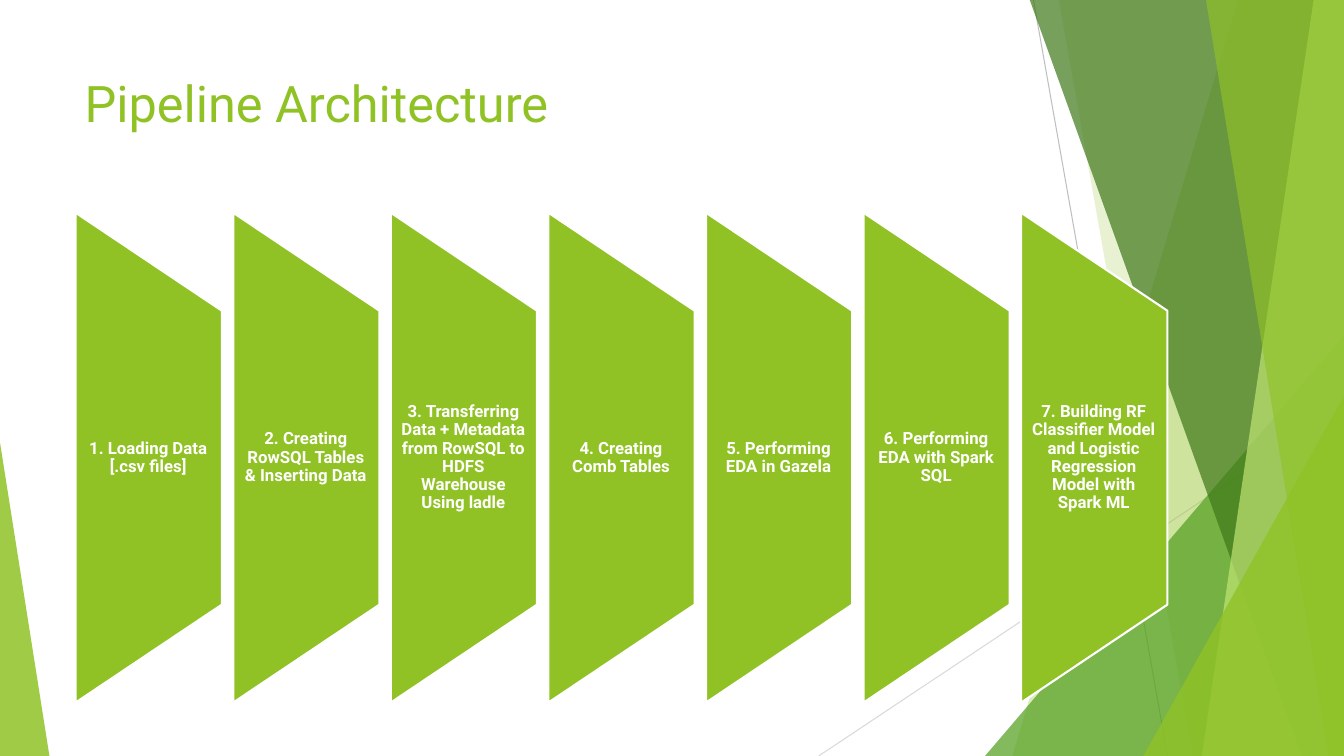
from lxml.etree import SubElement
from pptx import Presentation
from pptx.dml.color import RGBColor
from pptx.enum.shapes import MSO_CONNECTOR as Connector, MSO_SHAPE as Shape
from pptx.enum.text import MSO_ANCHOR as Anchor, PP_ALIGN as Align
from pptx.oxml.ns import qn
from pptx.util import Inches, Pt

WIDTH, HEIGHT = 13.33, 7.5
FONT, GREEN, WHITE = "Roboto", "90C226", "FFFFFF"
TITLE = "Pipeline Architecture"
STEPS = [
    "1. Loading Data [.csv files]",
    "2. Creating RowSQL Tables & Inserting Data",
    "3. Transferring Data + Metadata from RowSQL to HDFS Warehouse Using ladle",
    "4. Creating Comb Tables",
    "5. Performing EDA in Gazela",
    "6. Performing EDA with Spark SQL",
    "7. Building RF Classifier Model and Logistic Regression Model with Spark ML",
]
RAYS = [
    ((10.25, 0), (11.58, HEIGHT), "BFBFBF"),
    ((WIDTH, 4.03), (8.12, HEIGHT), "D9D9D9"),
]
BACK_BANDS = [(12.28, 10.04, GREEN, 30), (10.5, 11.83, GREEN, 20)]
FRONT_BANDS = [
    (10.21, 12.91, "3F7819", 70),
    (13.03, 11.92, "C0E474", 70),
    (11.96, 13.18, GREEN, 65),
]
BACK_CORNERS = [(9.77, 3.56, 4.17, 1, "54A021", 72)]
FRONT_CORNERS = [(11.34, 1.99, 3.57, 1, GREEN, 80), (0, 0.49, 3.11, 0, GREEN, 85)]
FIRST_LEFT, PITCH, MIDDLE = 0.75, 1.563, 4.54
STEP_WIDTH, STEP_HEIGHT, LABEL_HEIGHT = 1.45, 4.86, 2.92

deck = Presentation()
deck.slide_width, deck.slide_height = Inches(WIDTH), Inches(HEIGHT)
page = deck.slides.add_slide(deck.slide_layouts[6])


def color(code):
    return RGBColor.from_string(code)


def paint(shape, code, opacity=100):
    shape.shadow.inherit = False
    shape.fill.solid()
    shape.fill.fore_color.rgb = color(code)
    shape.line.fill.background()
    if opacity < 100:
        tint = shape.fill._xPr.find(qn("a:solidFill"))[0]
        SubElement(tint, qn("a:alpha"), val=str(opacity * 1000))


def add_ray(start, end, code):
    ray = page.shapes.add_connector(
        Connector.STRAIGHT, *[Inches(value) for value in start + end])
    ray.line.color.rgb = color(code)
    ray.line.width = Pt(0.75)
    SubElement(ray._element.spPr, qn("a:effectLst"))


def add_band(top_left, bottom_left, code, opacity):
    outline = page.shapes.build_freeform(
        Inches(top_left), Inches(-0.01), scale=1.0)
    corners = [(WIDTH, -0.01), (WIDTH, HEIGHT), (bottom_left, HEIGHT)]
    outline.add_line_segments([(Inches(x), Inches(y)) for x, y in corners], close=True)
    paint(outline.convert_to_shape(), code, opacity)


def add_corner(left, width, height, apex, code, opacity):
    corner = page.shapes.add_shape(
        Shape.ISOSCELES_TRIANGLE, Inches(left), Inches(HEIGHT - height),
        Inches(width), Inches(height))
    corner.adjustments[0] = apex
    paint(corner, code, opacity)


def add_text(text, place, size, code, insets, anchor, align, bold=False):
    box = page.shapes.add_textbox(*[Inches(value) for value in place])
    frame = box.text_frame
    frame.word_wrap = True
    frame.vertical_anchor = anchor
    frame.margin_left, frame.margin_top, frame.margin_right, frame.margin_bottom = [
        Inches(value) for value in insets]
    para = frame.paragraphs[0]
    para.alignment = align
    span = para.add_run()
    span.text = text
    span.font.name, span.font.size, span.font.bold = FONT, Pt(size), bold
    span.font.color.rgb = color(code)
    return para


def add_step(index, text):
    left = FIRST_LEFT + index * PITCH
    center = left + STEP_WIDTH / 2
    step = page.shapes.add_shape(
        Shape.FLOWCHART_MANUAL_OPERATION,
        Inches(center - STEP_HEIGHT / 2), Inches(MIDDLE - STEP_WIDTH / 2),
        Inches(STEP_HEIGHT), Inches(STEP_WIDTH))
    step.rotation = 270
    paint(step, GREEN)
    step.line.color.rgb = color(WHITE)
    step.line.width = Pt(1.5)
    place = (left, MIDDLE - LABEL_HEIGHT / 2, STEP_WIDTH, LABEL_HEIGHT)
    para = add_text(text, place, 12, WHITE, (0.08, 0, 0.09, 0),
                    Anchor.MIDDLE, Align.CENTER, True)
    para.line_spacing = 0.9


for ray in RAYS:
    add_ray(*ray)
for bands, corners in [(BACK_BANDS, BACK_CORNERS), (FRONT_BANDS, FRONT_CORNERS)]:
    for band in bands:
        add_band(*band)
    for corner in corners:
        add_corner(*corner)
add_text(TITLE, (0.74, 0.67, 9.4, 1.44), 36, GREEN, (0.1, 0.05, 0.1, 0.05),
         Anchor.TOP, Align.LEFT)
for index, text in enumerate(STEPS):
    add_step(index, text)

deck.save("out.pptx")
